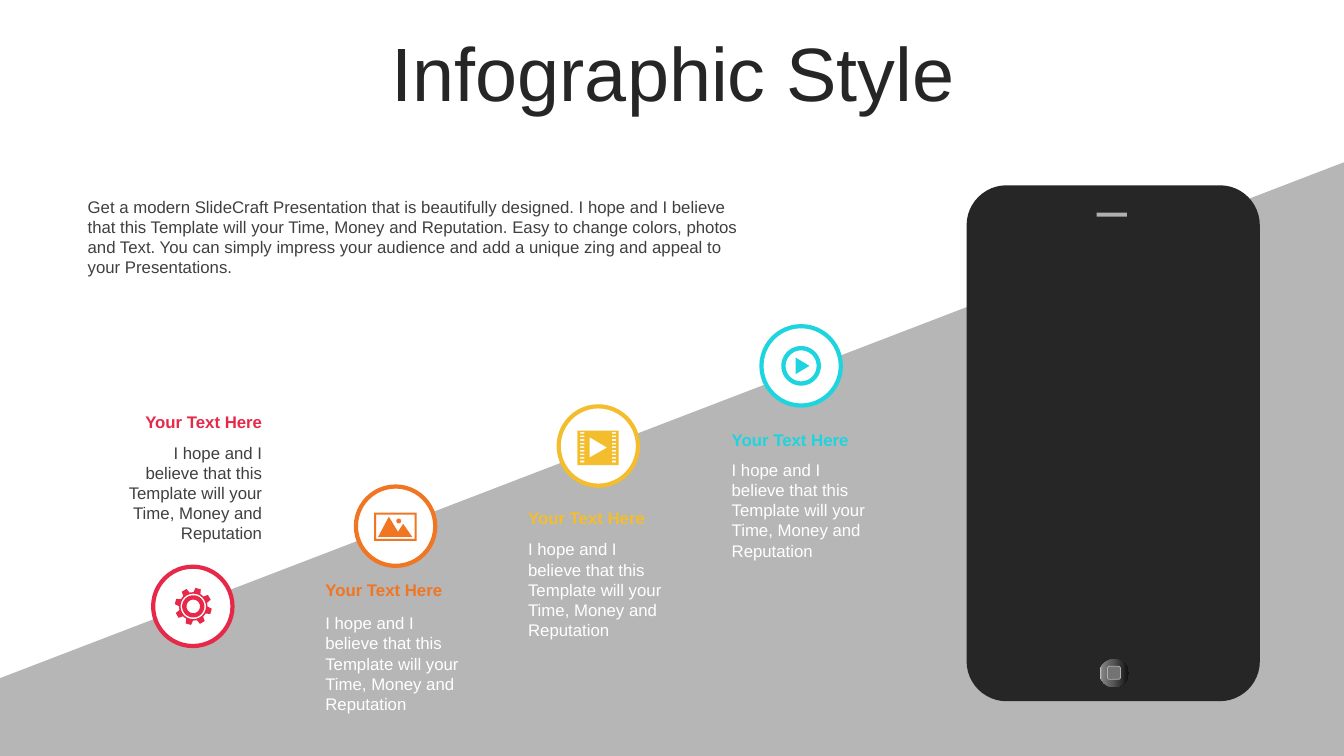
import math

from lxml import etree
from pptx import Presentation
from pptx.dml.color import RGBColor
from pptx.enum import shapes, text
from pptx.oxml.ns import qn
from pptx.util import Cm, Pt

WHITE = RGBColor(0xFF, 0xFF, 0xFF)
DARK = RGBColor(0x26, 0x26, 0x26)
BODY = RGBColor(0x40, 0x40, 0x40)
SLOPE = RGBColor(0x98, 0x98, 0x98)
SILVER = RGBColor(0xB0, 0xB0, 0xB0)
STEEL = RGBColor(0x73, 0x73, 0x73)
RED = RGBColor(0xE6, 0x29, 0x49)
ORANGE = RGBColor(0xF0, 0x76, 0x24)
YELLOW = RGBColor(0xF4, 0xBD, 0x2D)
CYAN = RGBColor(0x1E, 0xD4, 0xDE)

LEFT, RIGHT, CENTER = text.PP_ALIGN.LEFT, text.PP_ALIGN.RIGHT, text.PP_ALIGN.CENTER
ROUNDED = shapes.MSO_SHAPE.ROUNDED_RECTANGLE
OVAL = shapes.MSO_SHAPE.OVAL

TITLE = "Infographic Style"
INTRO = ("Get a modern SlideCraft Presentation that is beautifully designed. I hope and I "
         "believe that this Template will your Time, Money and Reputation. Easy to change "
         "colors, photos and Text. You can simply impress your audience and add a unique "
         "zing and appeal to your Presentations.")
HEADING = "Your Text Here"
DETAIL = "I hope and I believe that this Template will your Time, Money and Reputation"

# Lengths are centimetres; icon outlines are measured from the ring centre.
SLOPE_OUTLINE = [(0, 17.09), (33.87, 4.09), (33.87, 19.05), (0, 19.05)]
HOME_STOPS = [(0, "0F0F0F"), (56, "595959"), (91, "808080"), (100, "BFBFBF")]
FIRST_RING, RING_STEP, RING_SIZE = (4.86, 15.28), (5.11, -2.02), 2.0


def circle(radius, cx=0, cy=0, count=48):
    return [(cx + radius * math.cos(math.tau * i / count),
             cy + radius * math.sin(math.tau * i / count)) for i in range(count)]


def box(x, y, w, h):
    return [(x, y), (x + w, y), (x + w, y + h), (x, y + h)]


def cog(teeth=8):
    profile = [(7, 0.47), (24, 0.47), (30, 0.36), (46, 0.36)]
    turns = [(math.radians(a + 360 / teeth * i), r) for i in range(teeth) for a, r in profile]
    return [(0.01 + r * math.sin(a), -r * math.cos(a)) for a, r in turns]


GEAR = [cog()] + [circle(r, 0.01) for r in (0.32, 0.28, 0.17)]
PHOTO = [box(-0.54, -0.34, 1.07, 0.71), box(-0.49, -0.29, 0.97, 0.61),
         [(-0.17, -0.24), (0.06, 0.14), (0.19, -0.06), (0.42, 0.27), (-0.44, 0.27)],
         circle(0.06, 0.08, -0.13)]
FILM = [box(-0.53, -0.39, 1.04, 0.87), [(-0.22, -0.22), (0.22, 0.04), (-0.22, 0.29)]]
FILM += [box(x, -0.35 + 0.09 * row, 0.11, 0.04) for x in (-0.46, 0.34) for row in range(9)]
PLAY = [circle(0.5), circle(0.39), [(-0.14, -0.21), (0.21, 0), (-0.14, 0.21)]]

# icon, accent, text left, heading top, detail top, detail colour, alignment
STEPS = [
    (GEAR, RED, 2.87, 10.24, 11.02, BODY, RIGHT),
    (PHOTO, ORANGE, 7.95, 14.48, 15.32, WHITE, LEFT),
    (FILM, YELLOW, 13.06, 12.65, 13.46, WHITE, LEFT),
    (PLAY, CYAN, 18.19, 10.69, 11.46, WHITE, LEFT),
]

prs = Presentation()
prs.slide_width, prs.slide_height = Cm(33.87), Cm(19.05)
s = prs.slides.add_slide(prs.slide_layouts[5])


def paint(sp, fill, line=None, width=0):
    sp.shadow.inherit = False
    sp.fill.solid()
    sp.fill.fore_color.rgb = fill
    if line is None:
        sp.line.fill.background()
    else:
        sp.line.color.rgb = line
        sp.line.width = Pt(width)


def add_preset(kind, bounds, fill, line=None, width=0):
    sp = s.shapes.add_shape(kind, *map(Cm, bounds))
    paint(sp, fill, line, width)
    return sp


def add_outline(contours, fill, cx=0, cy=0):
    """Draw closed contours as one shape; inner contours become holes."""
    points = [[(Cm(cx + x), Cm(cy + y)) for x, y in c] for c in contours]
    builder = s.shapes.build_freeform(*points[0][0])
    builder.add_line_segments(points[0][1:])
    for contour in points[1:]:
        builder.move_to(*contour[0])
        builder.add_line_segments(contour[1:])
    sp = builder.convert_to_shape()
    paint(sp, fill)
    return sp


def write(sp, words, size, color, align=LEFT, anchor=text.MSO_ANCHOR.TOP, bold=False):
    tf = sp.text_frame
    tf.text = words
    tf.word_wrap = True
    tf.auto_size = text.MSO_AUTO_SIZE.NONE
    tf.vertical_anchor = anchor
    p = tf.paragraphs[0]
    p.alignment = align
    p.font.name, p.font.size, p.font.bold = "Arial", Pt(size), bold
    p.font.color.rgb = color
    return p


def add_text(bounds, *args, **kwargs):
    write(s.shapes.add_textbox(*map(Cm, bounds)), *args, **kwargs)


slope = add_outline([SLOPE_OUTLINE], SLOPE)
slope_color = slope._element.spPr.find(qn("a:solidFill"))[0]
etree.SubElement(slope_color, qn("a:alpha"), val="70000")

phone = add_preset(ROUNDED, (24.36, 4.67, 7.39, 13), DARK)
phone.adjustments[0] = 0.136
add_preset(shapes.MSO_SHAPE.RECTANGLE, (27.64, 5.36, 0.76, 0.1), SILVER)
home = add_preset(OVAL, (27.71, 16.61, 0.74, 0.71), DARK)
home.fill.gradient()
home.fill.gradient_angle = 180
stops = home._element.spPr.find(".//" + qn("a:gsLst"))
for stop in list(stops):
    stops.remove(stop)
for percent, shade in HOME_STOPS:
    stop = etree.SubElement(stops, qn("a:gs"), pos=str(percent * 1000))
    etree.SubElement(stop, qn("a:srgbClr"), val=shade)
add_preset(ROUNDED, (27.91, 16.79, 0.33, 0.33), STEEL, SILVER, 0.5)

title = s.shapes.title
title.left, title.top, title.width, title.height = map(Cm, (0.89, 0.94, 32.16, 2.01))
p = write(title, TITLE, 54, DARK, CENTER, text.MSO_ANCHOR.MIDDLE)
p.line_spacing = 0.9
add_text((1.96, 4.83, 16.99, 2.31), INTRO, 12, BODY)

for i, (icon, accent, left, heading_top, detail_top, color, align) in enumerate(STEPS):
    add_text((left, heading_top, 3.99, 0.79), HEADING, 12, accent, align,
             text.MSO_ANCHOR.MIDDLE, bold=True)
    add_text((left, detail_top, 3.99, 2.79), DETAIL, 12, color, align)
    cx, cy = (start + step * i for start, step in zip(FIRST_RING, RING_STEP))
    add_preset(OVAL, (cx - RING_SIZE / 2, cy - RING_SIZE / 2, RING_SIZE, RING_SIZE),
               WHITE, accent, 3)
    add_outline(icon, accent, cx, cy)

prs.save("out.pptx")
